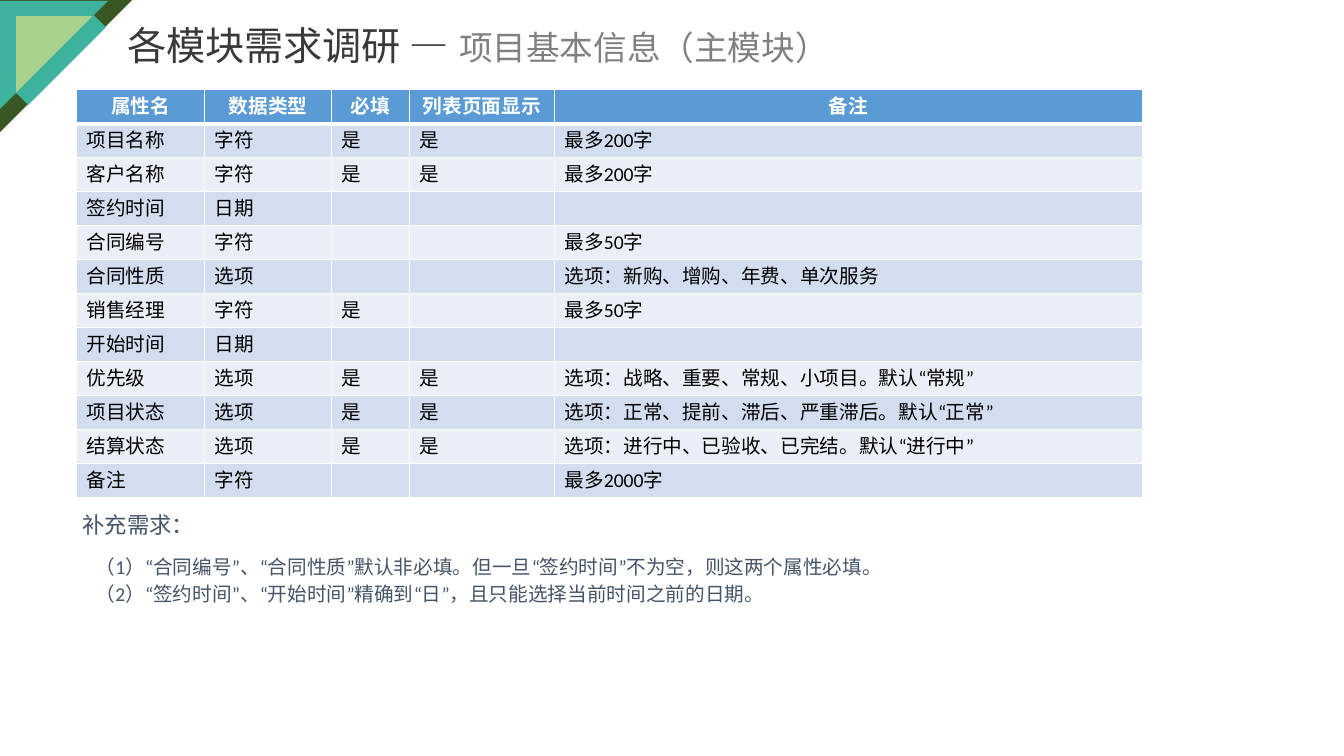
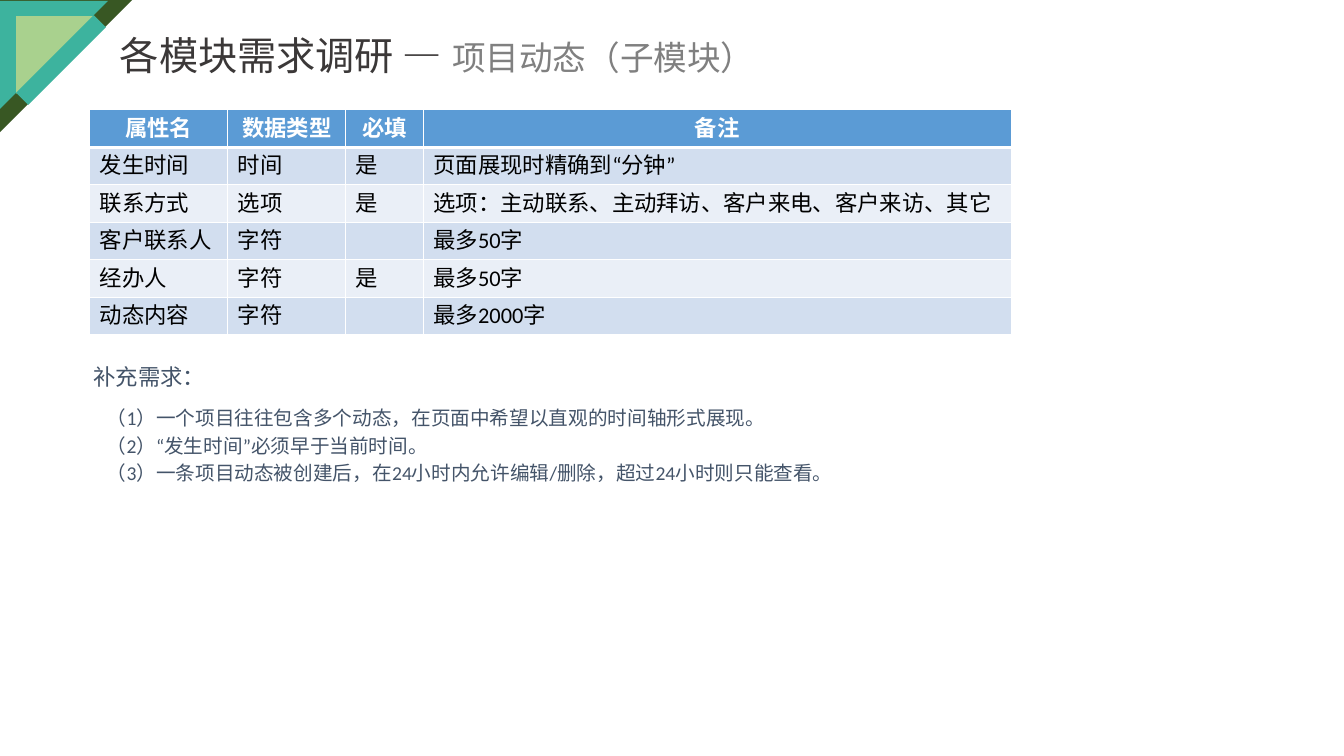
from dataclasses import dataclass

from lxml.etree import SubElement
from pptx import Presentation
from pptx.dml.color import RGBColor
from pptx.enum.shapes import MSO_SHAPE
from pptx.enum.text import MSO_ANCHOR, MSO_AUTO_SIZE, PP_ALIGN
from pptx.oxml.ns import qn
from pptx.util import Inches, Pt


@dataclass(frozen=True)
class Theme:
    latin: str = "Calibri"
    chinese: str = "Noto Sans CJK SC"
    title: str = "3B3838"
    subtitle: str = "808080"
    requirement: str = "445469"
    header: str = "5B9BD5"
    bands: tuple = ("D2DEEF", "EAEFF7")
    white: str = "FFFFFF"
    black: str = "000000"
    dark_green: str = "385723"
    teal: str = "3DB39E"
    light_green: str = "A9D18E"
    title_pt: int = 28
    gap_pt: int = 32
    subtitle_pt: int = 24
    heading_pt: int = 16
    requirement_pt: int = 14


THEME = Theme()

# Corner ornament: shape, left, top, width, height, rotation, colour
CORNER = [
    (MSO_SHAPE.RIGHT_TRIANGLE, 0, 0, 1.31, 1.31, 90, THEME.dark_green),
    (MSO_SHAPE.RIGHT_TRIANGLE, 0, 0.01, 1.07, 1.07, 90, THEME.teal),
    (MSO_SHAPE.RIGHT_TRIANGLE, 0.16, 0.16, 0.77, 0.77, 90, THEME.light_green),
    (MSO_SHAPE.RECTANGLE, 0.52, 0.05, 0.17, 1.09, 45, THEME.teal),
]

MODULES = [
    {
        "subtitle": "项目基本信息（主模块）",
        "title_at": (1.16, 0.11),
        "table_at": (0.76, 0.89),
        "columns": [1.27, 1.26, 0.77, 1.44, 5.83],
        "row_height": 0.33,
        "table_pt": 14,
        "rows": [
            ("属性名", "数据类型", "必填", "列表页面显示", "备注"),
            ("项目名称", "字符", "是", "是", "最多200字"),
            ("客户名称", "字符", "是", "是", "最多200字"),
            ("签约时间", "日期", "", "", ""),
            ("合同编号", "字符", "", "", "最多50字"),
            ("合同性质", "选项", "", "", "选项：新购、增购、年费、单次服务"),
            ("销售经理", "字符", "是", "", "最多50字"),
            ("开始时间", "日期", "", "", ""),
            ("优先级", "选项", "是", "是", "选项：战略、重要、常规、小项目。默认“常规”"),
            ("项目状态", "选项", "是", "是", "选项：正常、提前、滞后、严重滞后。默认“正常”"),
            ("结算状态", "选项", "是", "是", "选项：进行中、已验收、已完结。默认“进行中”"),
            ("备注", "字符", "", "", "最多2000字"),
        ],
        "requirements_at": (0.72, 5.06),
        "requirements": [
            "（1）“合同编号”、“合同性质”默认非必填。但一旦“签约时间”不为空，则这两个属性必填。",
            "（2）“签约时间”、“开始时间”精确到“日”，且只能选择当前时间之前的日期。",
        ],
        "requirements_height": 0.62,
    },
    {
        "subtitle": "项目动态（子模块）",
        "title_at": (1.09, 0.21),
        "table_at": (0.89, 1.09),
        "columns": [1.37, 1.17, 0.77, 5.83],
        "row_height": 0.37,
        "table_pt": 16,
        "rows": [
            ("属性名", "数据类型", "必填", "备注"),
            ("发生时间", "时间", "是", "页面展现时精确到“分钟”"),
            ("联系方式", "选项", "是", "选项：主动联系、主动拜访、客户来电、客户来访、其它"),
            ("客户联系人", "字符", "", "最多50字"),
            ("经办人", "字符", "是", "最多50字"),
            ("动态内容", "字符", "", "最多2000字"),
        ],
        "requirements_at": (0.83, 3.59),
        "requirements": [
            "（1）一个项目往往包含多个动态，在页面中希望以直观的时间轴形式展现。",
            "（2）“发生时间”必须早于当前时间。",
            "（3）一条项目动态被创建后，在24小时内允许编辑/删除，超过24小时则只能查看。",
        ],
        "requirements_height": 0.9,
    },
]


def add_text(paragraph, text, points, color, chinese=THEME.latin, bold=False):
    run = paragraph.add_run()
    run.text = text
    for name, value in {"size": Pt(points), "bold": bold, "name": THEME.latin}.items():
        setattr(run.font, name, value)
    run.font.color.rgb = RGBColor.from_string(color)
    SubElement(run._r.get_or_add_rPr(), qn("a:ea"), typeface=chinese)


def place(box, left, top, width, height):
    bounds = {"left": left, "top": top, "width": width, "height": height}
    for name, value in bounds.items():
        setattr(box, name, Inches(value))
    frame_format = {
        "word_wrap": True,
        "auto_size": MSO_AUTO_SIZE.NONE,
        "vertical_anchor": MSO_ANCHOR.TOP,
    }
    for name, value in frame_format.items():
        setattr(box.text_frame, name, value)


prs = Presentation()
prs.slide_width, prs.slide_height = Inches(13.33), Inches(7.5)

for module in MODULES:
    slide = prs.slides.add_slide(prs.slide_layouts[1])

    # Corner ornament
    for kind, left, top, width, height, rotation, color in CORNER:
        piece = slide.shapes.add_shape(
            kind, Inches(left), Inches(top), Inches(width), Inches(height))
        piece.rotation = rotation
        piece.shadow.inherit = False
        piece.fill.solid()
        piece.fill.fore_color.rgb = RGBColor.from_string(color)
        piece.line.fill.background()

    # Title with the module name
    title = slide.shapes.title
    place(title, *module["title_at"], 8.8, 0.64)
    title_line = title.text_frame.paragraphs[0]
    title_line.alignment = PP_ALIGN.LEFT
    for text, points, color in [
        ("各模块需求调研 —", THEME.title_pt, THEME.title),
        (" ", THEME.gap_pt, THEME.title),
        (module["subtitle"], THEME.subtitle_pt, THEME.subtitle),
    ]:
        add_text(title_line, text, points, color, THEME.chinese)

    # Attribute table
    rows, columns = module["rows"], module["columns"]
    left, top = module["table_at"]
    attributes = slide.shapes.add_table(
        len(rows), len(columns), Inches(left), Inches(top),
        Inches(sum(columns)), Inches(module["row_height"] * len(rows))).table
    for column, width in zip(attributes.columns, columns):
        column.width = Inches(width)
    for r, row in enumerate(rows):
        attributes.rows[r].height = Inches(module["row_height"])
        is_header = r == 0
        fill = THEME.header if is_header else THEME.bands[(r - 1) % 2]
        for c, text in enumerate(row):
            cell = attributes.cell(r, c)
            borders = {"L": 1, "R": 1, "T": 3 if r == 1 else 1, "B": 3 if is_header else 1}
            cell_format = cell._tc.get_or_add_tcPr()
            for side, weight in borders.items():
                border = SubElement(cell_format, qn(f"a:ln{side}"), w=str(int(Pt(weight))))
                border_fill = SubElement(border, qn("a:solidFill"))
                SubElement(border_fill, qn("a:srgbClr"), val=THEME.white)
            cell.fill.solid()
            cell.fill.fore_color.rgb = RGBColor.from_string(fill)
            entry = cell.text_frame.paragraphs[0]
            entry.alignment = PP_ALIGN.CENTER if is_header else PP_ALIGN.LEFT
            if text:
                add_text(entry, text, module["table_pt"],
                         THEME.white if is_header else THEME.black, bold=is_header)
            else:
                # An empty cell keeps the row's type size
                SubElement(entry._p, qn("a:endParaRPr"), sz=str(module["table_pt"] * 100))

    # Heading of the extra requirements
    left, top = module["requirements_at"]
    heading = slide.shapes.add_textbox(0, 0, 0, 0)
    place(heading, left, top, 3.3, 0.37)
    heading.text_frame.margin_top = Inches(0.01)
    add_text(heading.text_frame.paragraphs[0], "补充需求：",
             THEME.heading_pt, THEME.requirement, THEME.chinese)

    # Numbered requirements, without the template's bullets
    requirements = slide.placeholders[1]
    place(requirements, left + 0.13, top + 0.39, 9.21, module["requirements_height"])
    for i, requirement in enumerate(module["requirements"]):
        frame = requirements.text_frame
        item = frame.add_paragraph() if i else frame.paragraphs[0]
        item_format = item._p.get_or_add_pPr()
        for name in ("marL", "indent"):
            item_format.set(name, "0")
        SubElement(item_format, qn("a:buNone"))
        add_text(item, requirement, THEME.requirement_pt, THEME.requirement)

prs.save("out.pptx")
